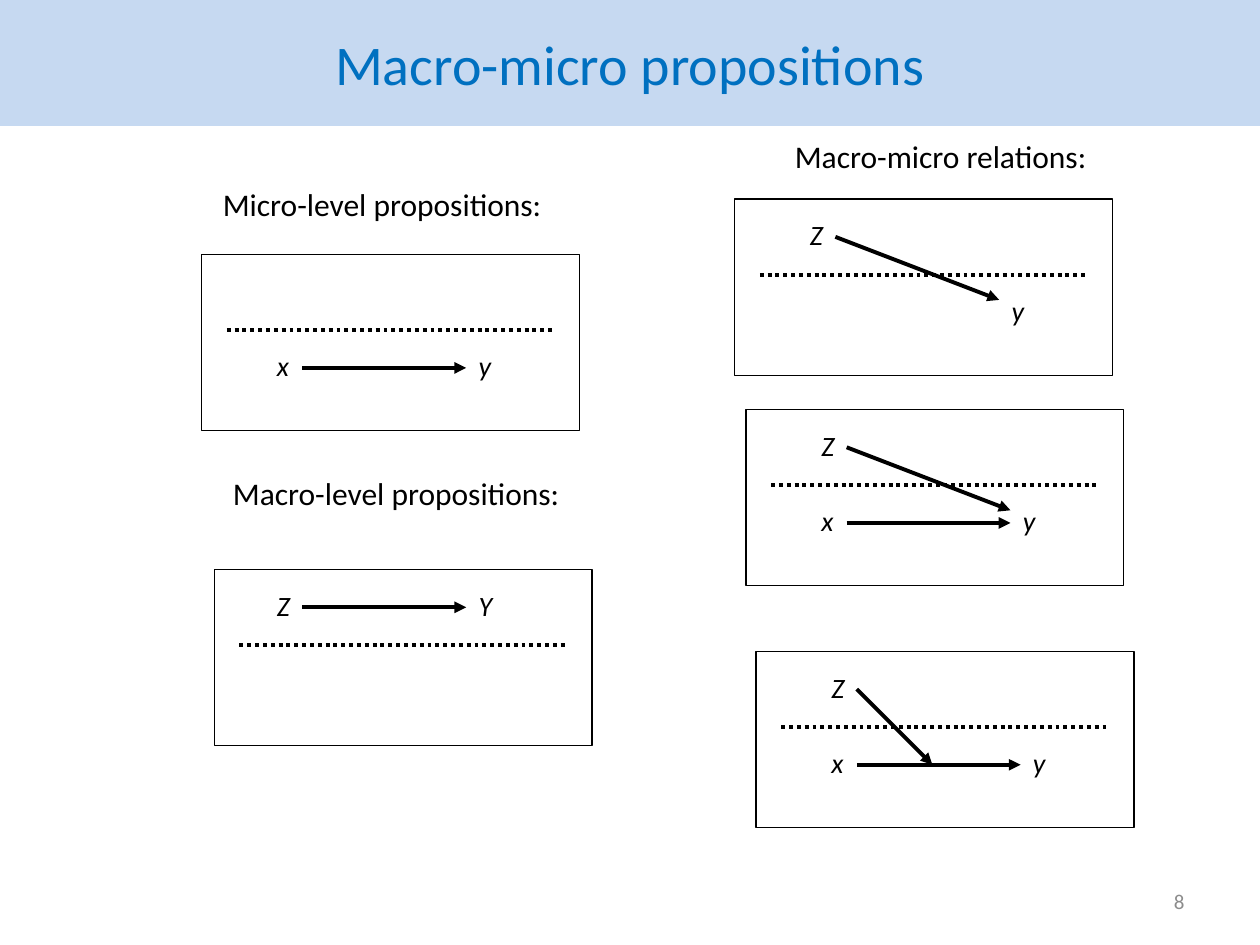
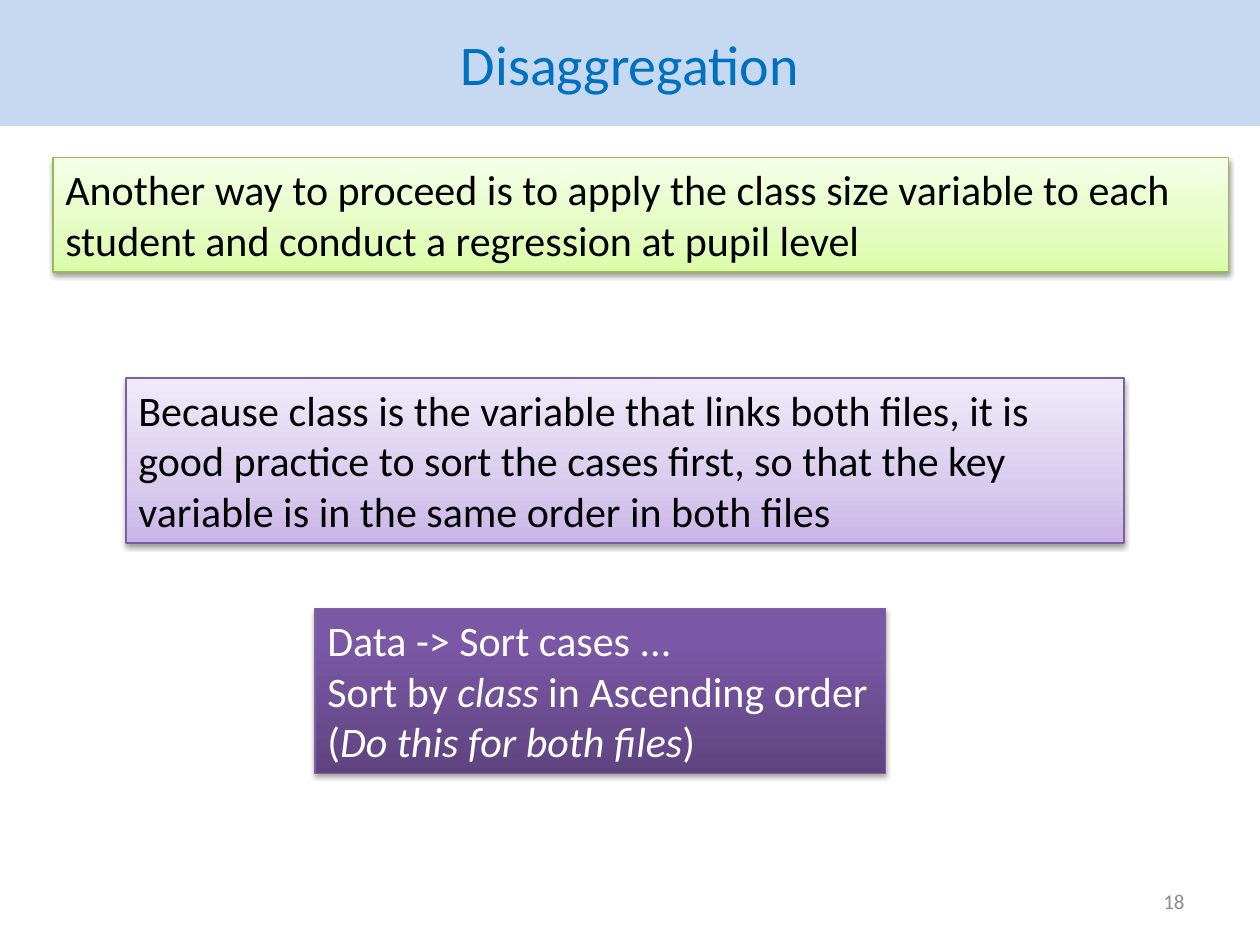
from lxml.etree import SubElement as Sub
from pptx import Presentation
from pptx.dml.color import RGBColor as RGB
from pptx.enum.dml import MSO_LINE as Dash
from pptx.enum.shapes import MSO_CONNECTOR as Conn, MSO_SHAPE as Shape
from pptx.enum.text import MSO_ANCHOR as Anchor, PP_ALIGN as Align
from pptx.oxml.ns import qn
from pptx.util import Inches, Pt

FONT = "Calibri"
HUES = {
    "band": "C6D9F1", "title": "0070C0", "ink": "000000", "paper": "FFFFFF",
    "page": "8C8C8C", "lime": "98B955", "plum": "7D60A0",
}
# Gradient stops run from the bottom of a card to its top.
FADES = {
    "lime": [(0, "DAFDA7"), (35, "E4FCC2"), (100, "F5FFE7")],
    "lilac": [(0, "C9B5E8"), (35, "D8CBEE"), (100, "F0EAF9")],
    "plum": [(0, "5F4480"), (80, "7B58A6"), (100, "7C57A8")],
}
# Label places inside a panel, from the first label's left and the panel's top.
SPOTS = {"up": (0, 0.1), "down": (0, 0.7),
         "up right": (1.6, 0.1), "down right": (1.6, 0.7)}
SIDE = 0.4


def hue(name):
    return RGB.from_string(HUES[name])


def style(par, size, color, align=Align.LEFT, italic=None):
    par.alignment = align
    font = par.font
    font.name, font.size, font.italic = FONT, Pt(size), italic
    font.color.rgb = hue(color)


def box(shapes, left, top, width, height, fill=None, line=None):
    rect = shapes.add_shape(Shape.RECTANGLE, Inches(left), Inches(top),
                            Inches(width), Inches(height))
    rect.shadow.inherit = False
    if fill:
        rect.fill.solid()
        rect.fill.fore_color.rgb = hue(fill)
    if line:
        rect.line.color.rgb = hue(line)
        rect.line.width = Pt(0.75)
    else:
        rect.line.fill.background()
    rect.text_frame.vertical_anchor = Anchor.TOP
    return rect


def text(slide, words, left, top, width, height):
    area = slide.shapes.add_textbox(Inches(left), Inches(top),
                                    Inches(width), Inches(height))
    area.text_frame.text = words
    return area.text_frame


def base(deck, title, page):
    """Add a slide with its title band and page number."""
    slide = deck.slides.add_slide(deck.slide_layouts[6])
    frame = box(slide.shapes, 0, 0, 10, 1, "band").text_frame
    frame.text = title
    frame.vertical_anchor = Anchor.MIDDLE
    style(frame.paragraphs[0], 32, "title", Align.CENTER)
    foot = text(slide, page, 7.17, 6.95, 2.33, 0.4)
    foot.word_wrap = True
    foot.vertical_anchor = Anchor.MIDDLE
    style(foot.paragraphs[0], 12, "page", Align.RIGHT)
    return slide


def caption(slide, words, left, top, width):
    frame = text(slide, words, left, top, width, 0.71)
    frame.word_wrap = False
    style(frame.paragraphs[0], 18, "ink")


def label(shapes, sign, left, top):
    rect = box(shapes, left, top, SIDE, SIDE, "paper")
    rect.text_frame.text = sign
    par = rect.text_frame.paragraphs[0]
    par.space_after = Pt(10)
    style(par, 16, "ink", italic=True)
    return rect


def line(shapes, start, end, dash=None):
    """Draw a dashed line, or an arrow when no dash is given."""
    link = shapes.add_connector(Conn.STRAIGHT, *map(Inches, start + end))
    link.line.color.rgb = hue("ink")
    link.line.width = Pt(2.25)
    if dash:
        link.line.dash_style = dash
    else:
        Sub(link.line._get_or_add_ln(), qn("a:tailEnd"), type="triangle")
    Sub(link._element.spPr, qn("a:effectLst"))
    return link


def panel(slide, left, top, signs, arrows, inset=0.5):
    """Draw a two-level diagram; an arrow is (from spot, to spot or point)."""
    shapes = slide.shapes.add_group_shape().shapes
    box(shapes, left, top, 3, 1.4, "paper", "ink")
    edge = left + inset
    marks = {}
    for spot, sign in signs.items():
        across, down = SPOTS[spot]
        marks[spot] = label(shapes, sign, edge + across, top + down)
    level = top + 0.6
    line(shapes, (left + 0.2, level), (left + 2.8, level), Dash.ROUND_DOT)
    for source, goal in arrows:
        start = (edge + 0.3, top + SPOTS[source][1] + SIDE / 2)
        across, down = SPOTS[goal] if goal in SPOTS else goal
        if goal in SPOTS:
            down += SIDE / 2
        link = line(shapes, start, (edge + across, top + down))
        if goal in marks:
            link.end_connect(marks[goal], 1)


def shade(rect, stops):
    rect.fill.gradient()
    rect.fill.gradient_angle = 90
    bag = rect._element.spPr.find(qn("a:gradFill")).find(qn("a:gsLst"))
    bag.clear()
    for place, color in stops:
        stop = Sub(bag, qn("a:gs"), pos=str(place * 1000))
        Sub(stop, qn("a:srgbClr"), val=color)


def drop(rect, alpha, gap):
    """Cast a soft shadow straight down."""
    cast = Sub(rect._element.spPr.find(qn("a:effectLst")), qn("a:outerShdw"),
               blurRad=str(Pt(3.1)), dist=str(Pt(gap)), dir="5400000",
               rotWithShape="0")
    color = Sub(cast, qn("a:srgbClr"), val=HUES["ink"])
    Sub(color, qn("a:alpha"), val=str(alpha * 1000))


def card(slide, place, fade, edge, rows, color="ink", wrap=True,
         alpha=38, gap=1.6):
    """Add a shaded text card; each row lists (words, italic) runs."""
    rect = box(slide.shapes, *place, line=edge)
    shade(rect, FADES[fade])
    drop(rect, alpha, gap)
    frame = rect.text_frame
    frame.word_wrap = wrap
    for num, row in enumerate(rows):
        par = frame.add_paragraph() if num else frame.paragraphs[0]
        style(par, 24, color)
        for words, slant in row:
            run = par.add_run()
            run.text = words
            if slant:
                run.font.italic = True


def levels(deck):
    slide = base(deck, "Macro-micro propositions", "8")
    caption(slide, "Micro-level propositions:", 1.67, 1.42, 2.76)
    caption(slide, "Macro-level propositions:", 1.75, 3.71, 2.82)
    caption(slide, "Macro-micro relations:", 6.21, 1.04, 2.54)

    micro = {"down": "x", "down right": "y"}
    both = {**micro, "up": "Z"}
    flat = ("down", "down right")
    slope = ("up", (1.6, 0.8))
    panel(slide, 1.6, 2.02, micro, [flat])
    panel(slide, 1.7, 4.52, {"up": "Z", "up right": "Y"},
          [("up", "up right")], inset=0.4)
    panel(slide, 5.83, 1.58, {"up": "Z", "down right": "y"}, [slope])
    panel(slide, 5.92, 3.25, both, [flat, slope])
    panel(slide, 6, 5.17, both, [flat, ("up", (0.9, 0.9))])


def sorting(deck):
    slide = base(deck, "Disaggregation", "18")
    card(slide, (0.42, 1.25, 9.33, 0.91), "lime", "lime", [[(
        "Another way to proceed is to apply the class size variable to each "
        "student and conduct a regression at pupil level", False)]])
    card(slide, (1, 3, 7.92, 1.31), "lilac", "plum", [[(
        "Because class is the variable that links both files, it is good "
        "practice to sort the cases first, so that the key variable is in "
        "the same order in both files", False)]])
    card(slide, (2.5, 4.83, 4.53, 1.31), "plum", "plum", [
        [("Data -> Sort cases ...", False)],
        [("Sort by ", False), ("class ", True), ("in Ascending order", False)],
        [("(", False), ("Do this for both files", True), (")", False)],
    ], "paper", wrap=False, alpha=35, gap=1.8)


def main():
    deck = Presentation()
    deck.slide_width, deck.slide_height = Inches(10), Inches(7.5)
    levels(deck)
    sorting(deck)
    deck.save("out.pptx")


if __name__ == "__main__":
    main()
